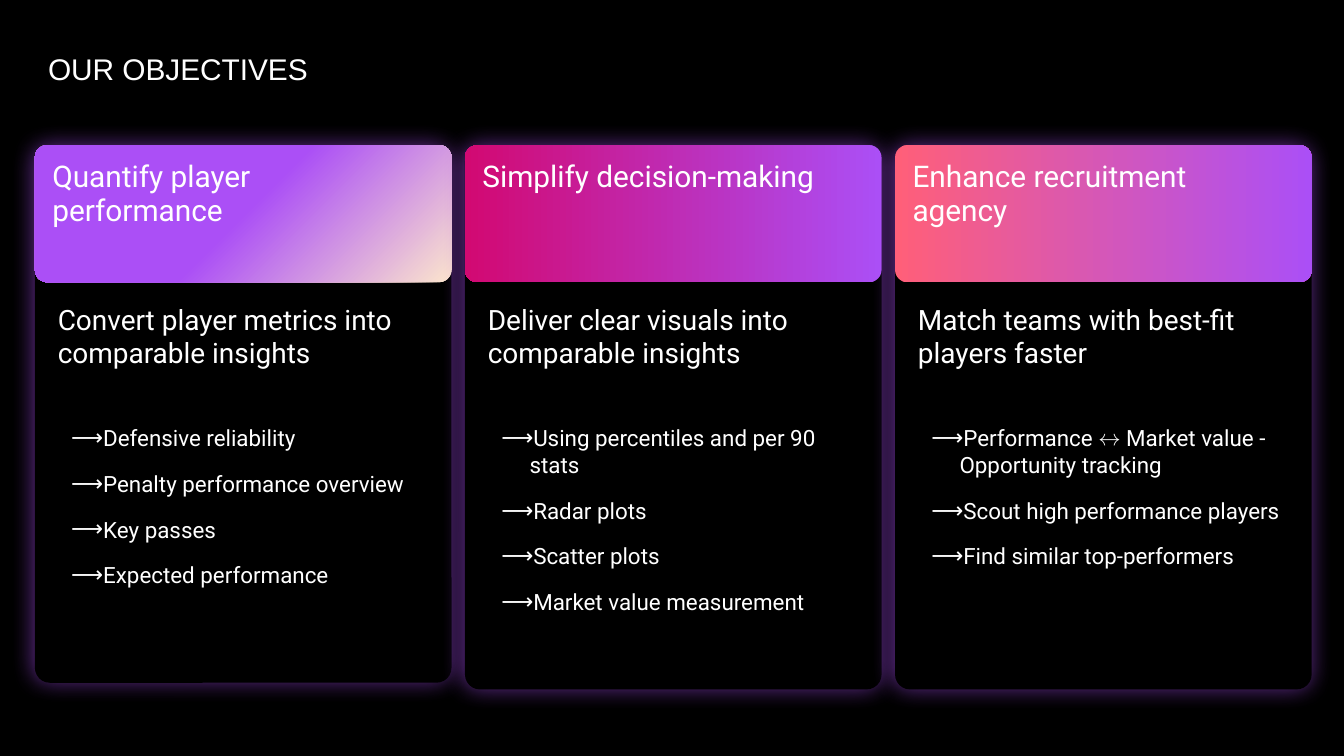
from lxml.etree import SubElement
from pptx import Presentation
from pptx.dml.color import RGBColor
from pptx.enum.shapes import MSO_SHAPE
from pptx.oxml import parse_xml
from pptx.oxml.ns import nsdecls, qn
from pptx.util import Inches, Pt

WHITE, BLACK, PURPLE = "FFFFFF", "000000", "AB4FF6"
LEFT, PITCH, CARD_WIDTH = 0.26, 3.2, 3.1
CARD_TOP, HEADER_TOP, HEADER_HEIGHT = 1.09, 1.08, 1.02
HEADING_INDENT, BODY_INDENT, BODY_WIDTH = 0.13, 0.17, 2.75

COLUMNS = [
    {
        "height": 3.99,
        "stops": [(0, "FCE5CD"), (50, PURPLE), (100, PURPLE)],
        "angle": 225,
        "heading": "Quantify player performance",
        "summary": "Convert player metrics into comparable insights",
        "items": ["Defensive reliability", "Penalty performance overview",
                  "Key passes", "Expected performance"],
    },
    {
        "height": 4.04,
        "stops": [(0, PURPLE), (100, "D20972")],
        "angle": 180,
        "heading": "Simplify decision-making",
        "summary": "Deliver clear visuals into comparable insights",
        "items": ["Using percentiles and per 90 stats", "Radar plots",
                  "Scatter plots", "Market value measurement"],
    },
    {
        "height": 4.04,
        "stops": [(0, "FF5F79"), (100, PURPLE)],
        "angle": 0,
        "heading": "Enhance recruitment agency",
        "summary": "Match teams with best-fit players faster",
        "items": ["Performance ↔ Market value - Opportunity tracking",
                  "Scout high performance players", "Find similar top-performers"],
    },
]


def color(value):
    """Turn a hex string into a colour."""
    return RGBColor.from_string(value)


def add_panel(slide, left, top, height, radius):
    """Add a black rounded panel without line or shadow."""
    shape = slide.shapes.add_shape(
        MSO_SHAPE.ROUNDED_RECTANGLE,
        Inches(left), Inches(top), Inches(CARD_WIDTH), Inches(height))
    shape.adjustments[0] = radius
    shape.shadow.inherit = False
    shape.fill.solid()
    shape.fill.fore_color.rgb = color(BLACK)
    shape.line.fill.background()
    return shape


def add_glow(shape):
    """Give a panel its soft purple shadow."""
    effects = shape._element.spPr.find(qn("a:effectLst"))
    effects.append(parse_xml(
        f'<a:outerShdw {nsdecls("a")} blurRad="{Pt(12.4)}" dist="{Pt(0.8)}" '
        f'dir="{219 * 60000}" algn="bl" rotWithShape="0">'
        f'<a:srgbClr val="{PURPLE}"><a:alpha val="59000"/></a:srgbClr></a:outerShdw>'))


def fill_gradient(shape, stops, angle):
    """Fill a panel with a linear gradient, its angle counted clockwise."""
    stop_xml = "".join(
        f'<a:gs pos="{position * 1000}"><a:srgbClr val="{value}"/></a:gs>'
        for position, value in stops)
    gradient = parse_xml(
        f'<a:gradFill {nsdecls("a")} rotWithShape="1"><a:gsLst>{stop_xml}</a:gsLst>'
        f'<a:lin ang="{angle * 60000}" scaled="0"/></a:gradFill>')
    properties = shape._element.spPr
    properties.replace(properties.find(qn("a:solidFill")), gradient)


def add_bullet(paragraph):
    """Give a paragraph a hanging white arrow bullet."""
    properties = paragraph._p.get_or_add_pPr()
    properties.set("marL", str(Inches(0.31)))
    properties.set("indent", str(Inches(-0.21)))
    bullet_color = SubElement(properties, qn("a:buClr"))
    SubElement(bullet_color, qn("a:srgbClr"), val=WHITE)
    SubElement(properties, qn("a:buFont"), typeface="Roboto")
    SubElement(properties, qn("a:buChar"), char="⟶")


def add_text(slide, box, lines, size, font="Roboto", inset=0, spacing=None, bullets=False):
    """Add a wrapped text box with one paragraph per line."""
    frame = slide.shapes.add_textbox(*map(Inches, box)).text_frame
    frame.word_wrap = True
    frame.margin_left = frame.margin_right = Inches(inset)
    frame.margin_top = frame.margin_bottom = Inches(inset)
    for index, line in enumerate(lines):
        paragraph = frame.add_paragraph() if index else frame.paragraphs[0]
        if bullets:
            add_bullet(paragraph)
        if index:
            paragraph.space_before = Pt(10)
        if spacing:
            paragraph.line_spacing = spacing
        run = paragraph.add_run()
        run.text = line
        run.font.size = Pt(size)
        run.font.name = font
        run.font.color.rgb = color(WHITE)


def add_column(slide, index, column):
    """Add one objective: card, header, summary and bullet list."""
    left = LEFT + index * PITCH
    body_left = left + BODY_INDENT
    add_glow(add_panel(slide, left, CARD_TOP, column["height"], 0.036))
    header = add_panel(slide, left, HEADER_TOP, HEADER_HEIGHT, 0.09)
    fill_gradient(header, column["stops"], column["angle"])
    add_text(slide, (left + HEADING_INDENT, 1.19, 2.66, 0.47), [column["heading"]], 16,
             spacing=0.95)
    add_text(slide, (body_left, 2.25, BODY_WIDTH, 0.5), [column["summary"]], 15)
    add_text(slide, (body_left, 3.16, BODY_WIDTH, 1.23), column["items"], 12, bullets=True)


def main():
    """Build and save the objectives slide."""
    presentation = Presentation()
    presentation.slide_width = Inches(10)
    presentation.slide_height = presentation.slide_width * 9 // 16
    slide = presentation.slides.add_slide(presentation.slide_layouts[6])
    slide.background.fill.solid()
    slide.background.fill.fore_color.rgb = color(BLACK)
    for index, column in enumerate(COLUMNS):
        add_column(slide, index, column)
    add_text(slide, (LEFT, 0.28, 3.37, 0.47), ["OUR OBJECTIVES"], 16, font="Arial", inset=0.1)
    presentation.save("out.pptx")


if __name__ == "__main__":
    main()
